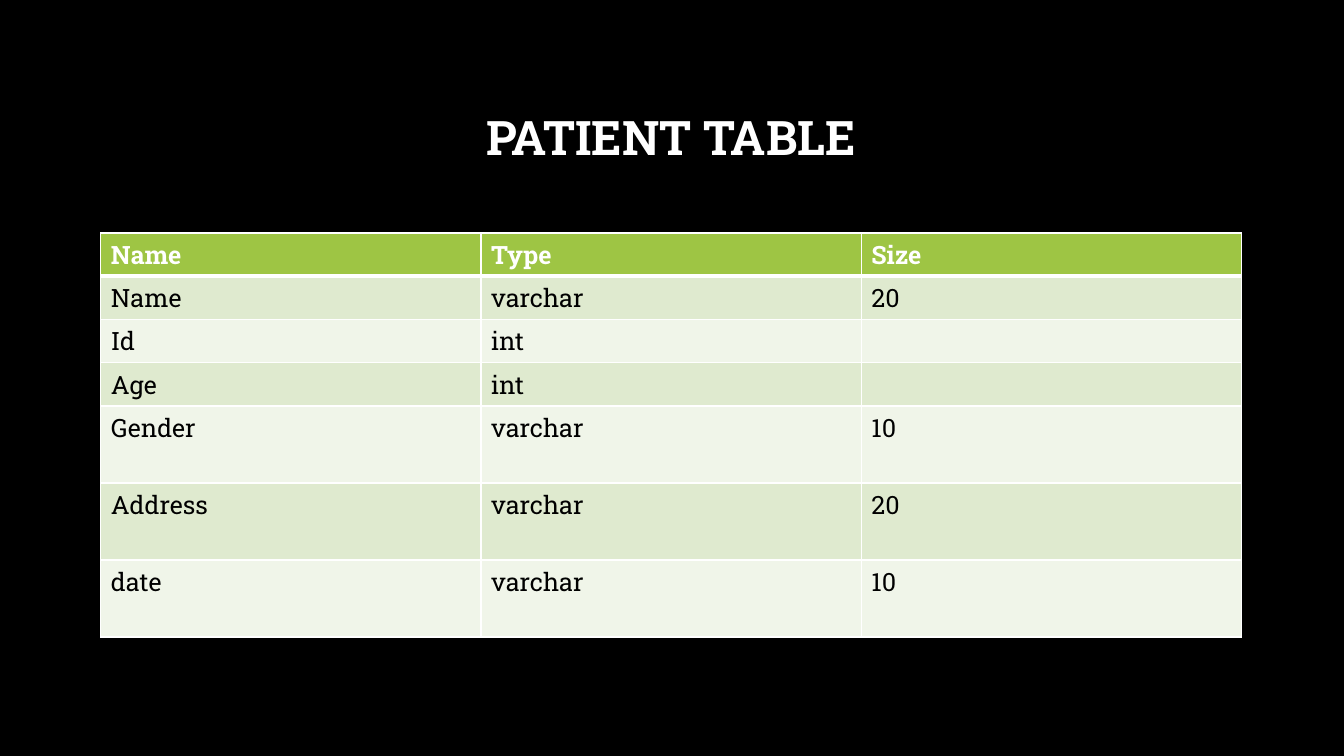
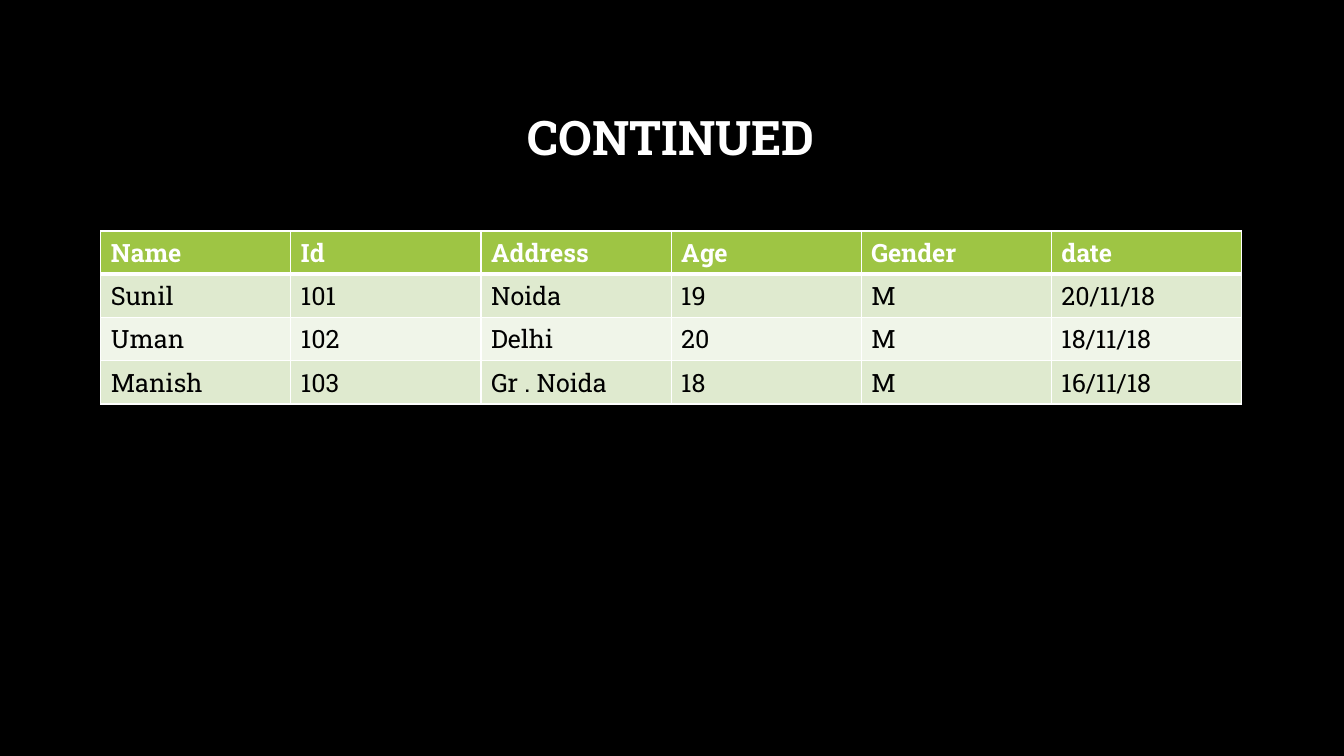
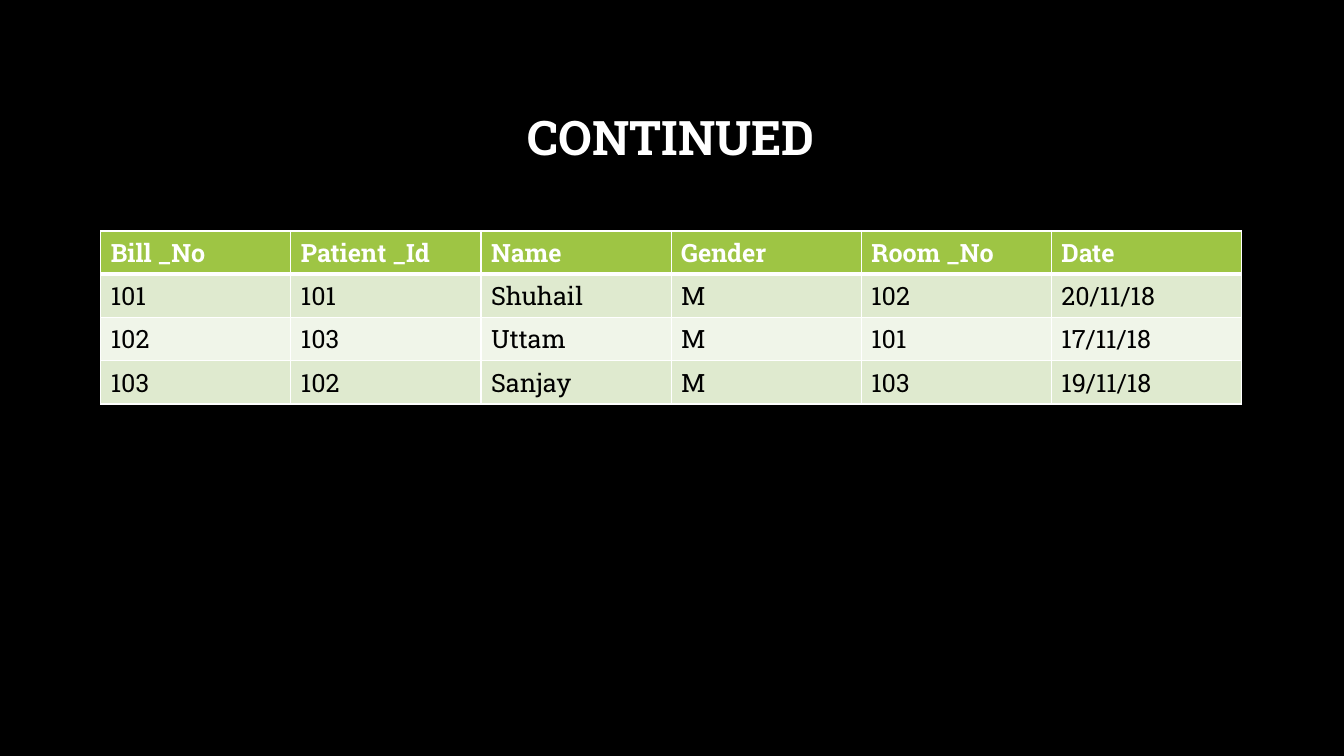
from dataclasses import dataclass

from lxml import etree
from pptx import Presentation
from pptx.dml.color import RGBColor
from pptx.enum.text import MSO_ANCHOR, PP_ALIGN
from pptx.oxml.ns import qn
from pptx.util import Cm, Pt

CENTER = PP_ALIGN.CENTER
MIDDLE = MSO_ANCHOR.MIDDLE
BLANK_LAYOUT = 6


@dataclass(frozen=True)
class Theme:
    """Colours, type and line sizes shared by all slides."""
    font: str = "Roboto Slab"
    background: str = "000000"
    light: str = "FFFFFF"
    dark: str = "000000"
    header_fill: str = "9EC544"
    band_fills: tuple = ("DFEACF", "F0F5E9")
    title_size: int = 34
    table_size: int = 18
    thin: int = 1
    thick: int = 3


THEME = Theme()
LEFT, WIDTH = 2.54, 28.75
TITLE_BOX = (LEFT, 1.7, WIDTH, 3.68)
ROW, TALL_ROW = 1.09, 1.94

SLIDES = [
    {
        "title": "PATIENT TABLE",
        "top": 5.87,
        "heights": [ROW] * 4 + [TALL_ROW] * 3,
        "rows": [
            ("Name", "Type", "Size"),
            ("Name", "varchar", "20"),
            ("Id", "int", ""),
            ("Age", "int", ""),
            ("Gender", "varchar", "10"),
            ("Address", "varchar", "20"),
            ("date", "varchar", "10"),
        ],
    },
    {
        "title": "CONTINUED",
        "top": 5.82,
        "heights": [ROW] * 4,
        "rows": [
            ("Name", "Id", "Address", "Age", "Gender", "date"),
            ("Sunil", "101", "Noida", "19", "M", "20/11/18"),
            ("Uman", "102", "Delhi", "20", "M", "18/11/18"),
            ("Manish", "103", "Gr . Noida", "18", "M", "16/11/18"),
        ],
    },
    {
        "title": "CONTINUED",
        "top": 5.82,
        "heights": [ROW] * 4,
        "rows": [
            ("Bill _No", "Patient _Id", "Name", "Gender", "Room _No", "Date"),
            ("101", "101", "Shuhail", "M", "102", "20/11/18"),
            ("102", "103", "Uttam", "M", "101", "17/11/18"),
            ("103", "102", "Sanjay", "M", "103", "19/11/18"),
        ],
    },
]


def apply_format(target, values):
    """Set each named attribute on the target."""
    for name, value in values.items():
        setattr(target, name, value)


def add_text(paragraph, text, size, color, bold):
    """Add one formatted run to a paragraph."""
    run = paragraph.add_run()
    run.text = text
    apply_format(run.font, {"name": THEME.font, "size": Pt(size), "bold": bold})
    run.font.color.rgb = RGBColor.from_string(color)


def paint(fill, color):
    """Give a fill one solid colour."""
    fill.solid()
    fill.fore_color.rgb = RGBColor.from_string(color)


def add_title(slide, text, box):
    """Place a centred title in the box."""
    shape = slide.shapes.add_textbox(*map(Cm, box))
    apply_format(shape.text_frame, {"word_wrap": True, "vertical_anchor": MIDDLE})
    paragraph = shape.text_frame.paragraphs[0]
    apply_format(paragraph, {"alignment": CENTER, "line_spacing": 0.9})
    add_text(paragraph, text, THEME.title_size, THEME.light, True)


def set_borders(cell, top, bottom):
    """Draw the four borders of a cell, with the given top and bottom weights."""
    properties = cell._tc.get_or_add_tcPr()
    weights = {"lnL": THEME.thin, "lnR": THEME.thin, "lnT": top, "lnB": bottom}
    for tag, weight in weights.items():
        line = etree.SubElement(properties, qn(f"a:{tag}"), w=str(Pt(weight)))
        fill = etree.SubElement(line, qn("a:solidFill"))
        etree.SubElement(fill, qn("a:srgbClr"), val=THEME.light)


def style_cell(cell, text, row_index):
    """Fill a cell as a header or as part of a body band."""
    header = row_index == 0
    set_borders(
        cell,
        THEME.thick if row_index == 1 else THEME.thin,
        THEME.thick if header else THEME.thin,
    )
    paint(cell.fill, THEME.header_fill if header else THEME.band_fills[(row_index - 1) % 2])
    if text:
        color = THEME.light if header else THEME.dark
        add_text(cell.text_frame.paragraphs[0], text, THEME.table_size, color, header)


def add_data_table(slide, rows, heights, left, top, width):
    """Place a table of equal columns at the given position."""
    column_count = len(rows[0])
    frame = slide.shapes.add_table(
        len(rows), column_count, Cm(left), Cm(top), Cm(width), Cm(sum(heights))
    )
    table = frame.table
    apply_format(table, {"first_row": True, "horz_banding": False})
    for column in table.columns:
        column.width = Cm(width / column_count)
    for row_index, (values, height) in enumerate(zip(rows, heights)):
        table.rows[row_index].height = Cm(height)
        for column_index, text in enumerate(values):
            style_cell(table.cell(row_index, column_index), text, row_index)


def add_table_slide(presentation, content):
    """Add a slide with a title above a table."""
    slide = presentation.slides.add_slide(presentation.slide_layouts[BLANK_LAYOUT])
    add_title(slide, content["title"], TITLE_BOX)
    add_data_table(slide, content["rows"], content["heights"], LEFT, content["top"], WIDTH)


def main():
    """Build and save the presentation."""
    presentation = Presentation()
    apply_format(presentation, {"slide_width": Cm(33.87), "slide_height": Cm(19.05)})
    paint(presentation.slide_master.background.fill, THEME.background)
    for content in SLIDES:
        add_table_slide(presentation, content)
    presentation.save("out.pptx")


if __name__ == "__main__":
    main()
